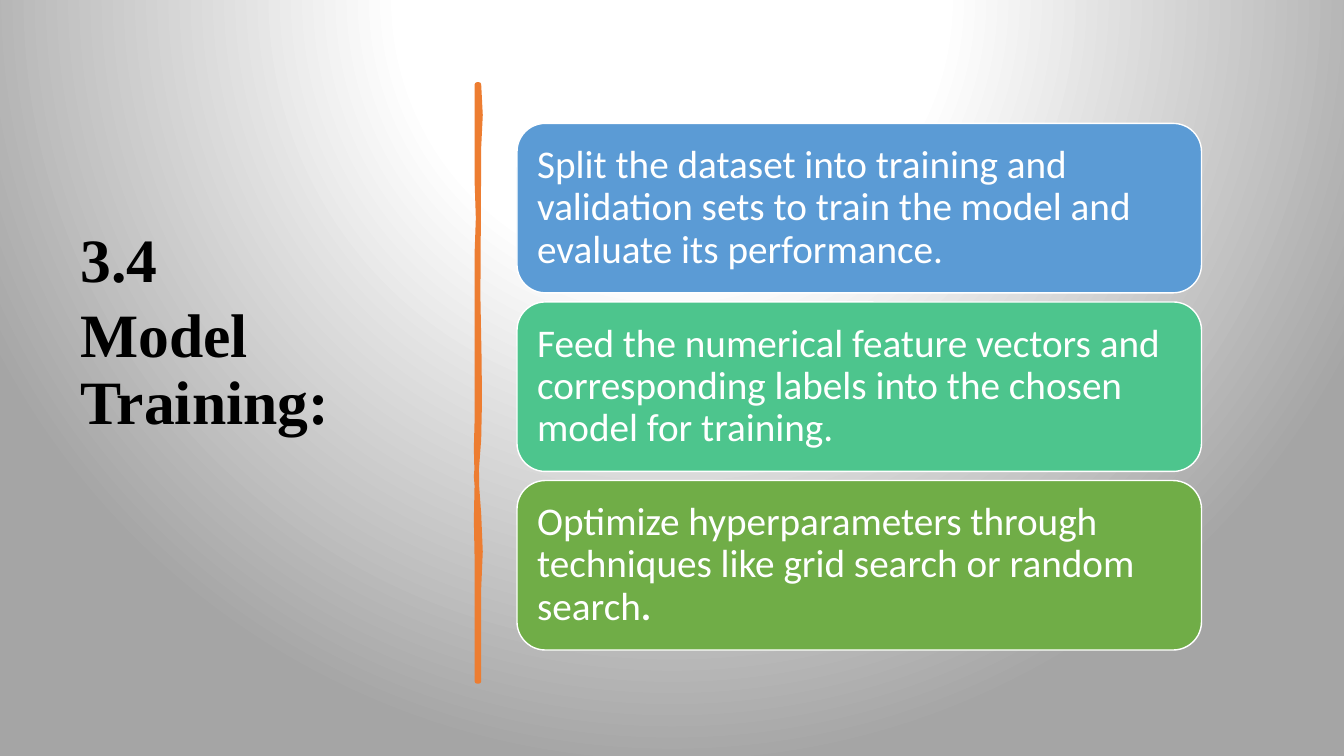
import dataclasses

import pptx
import pptx.dml.color
import pptx.enum.shapes
import pptx.enum.text
import pptx.oxml
import pptx.oxml.ns
import pptx.util

Cm = pptx.util.Cm
Pt = pptx.util.Pt


@dataclasses.dataclass(frozen=True)
class Theme:
    black: str = "000000"
    white: str = "FFFFFF"
    grey: str = "A5A5A5"
    orange: str = "ED7D31"
    cards: tuple = ("5B9BD5", "4DC58D", "70AD47")
    title_font: str = "Times New Roman"
    card_font: str = "Calibri"
    title_size: int = 44
    card_size: int = 28


theme = Theme()


def color(value):
    return pptx.dml.color.RGBColor.from_string(value)


def style(span, font, size, value, bold):
    span.font.name = font
    span.font.size = Pt(size)
    span.font.color.rgb = color(value)
    span.font.bold = bold


deck = pptx.Presentation()
deck.slide_width = Cm(33.87)
deck.slide_height = Cm(19.05)
page = deck.slides.add_slide(deck.slide_layouts[5])

page.background.fill.solid()
background = page.element.find(".//" + pptx.oxml.ns.qn("p:bgPr"))
stops = "".join(
    f'<a:gs pos="{position}"><a:srgbClr val="{value}"/></a:gs>'
    for position, value in ((0, theme.white), (35000, theme.white), (100000, theme.grey))
)
gradient = pptx.oxml.parse_xml(
    f'<a:gradFill {pptx.oxml.ns.nsdecls("a")} rotWithShape="1"><a:gsLst>{stops}</a:gsLst>'
    '<a:path path="circle"><a:fillToRect l="50000" t="-80000" r="50000" b="180000"/></a:path>'
    "</a:gradFill>"
)
background.replace(background[0], gradient)

title = page.shapes.title
title.left, title.top, title.width, title.height = Cm(1.77), Cm(1.78), Cm(9.5), Cm(13.25)
title.text_frame.text = "3.4\nModel Training:"
title.text_frame.word_wrap = True
title.text_frame.auto_size = pptx.enum.text.MSO_AUTO_SIZE.NONE
title.text_frame.vertical_anchor = pptx.enum.text.MSO_ANCHOR.MIDDLE
for para in title.text_frame.paragraphs:
    para.alignment = pptx.enum.text.PP_ALIGN.LEFT
    para.line_spacing = 0.9
    para.space_before = Pt(0)
    para.space_after = Pt(6)
    style(para.runs[0], theme.title_font, theme.title_size, theme.black, True)

outline = (
    (12.07, 2.13), (12.11, 2.9), (12.07, 3.71), (12.06, 5.74), (12.05, 7.47),
    (12.08, 9.04), (12.09, 10.1), (12.07, 11.07), (12, 12), (12.07, 12.95),
    (12.11, 13.9), (12.07, 14.83), (12.07, 17.17),
    (12.02, 17.17), (12.02, 14.15), (12, 13.1), (12.02, 12.12), (12, 11.3),
    (12.02, 10.54), (12.02, 6.35), (12.05, 5.5), (12.02, 4.6), (12.02, 2.13),
)
points = [(Cm(x), Cm(y)) for x, y in outline]
builder = page.shapes.build_freeform(*points[0])
builder.add_line_segments(points[1:], close=True)
divider = builder.convert_to_shape()
divider.shadow.inherit = False
divider.fill.solid()
divider.fill.fore_color.rgb = color(theme.orange)
divider.line.color.rgb = color(theme.orange)
divider.line.width = Pt(3.25)
divider.line._get_or_add_ln().append(
    pptx.oxml.parse_xml(f'<a:round {pptx.oxml.ns.nsdecls("a")}/>')
)

training_steps = (
    ("Split the dataset into training and validation sets to train the model "
     "and evaluate its performance.",),
    ("Feed the numerical feature vectors and corresponding labels into the chosen "
     "model for training.",),
    ("Optimize hyperparameters through techniques like grid search or random search", "."),
)
for index, (parts, fill) in enumerate(zip(training_steps, theme.cards)):
    box = page.shapes.add_shape(
        pptx.enum.shapes.MSO_SHAPE.ROUNDED_RECTANGLE,
        Cm(13.03), Cm(3.11 + index * 4.5), Cm(17.25), Cm(4.27),
    )
    box.shadow.inherit = False
    box.fill.solid()
    box.fill.fore_color.rgb = color(fill)
    box.line.color.rgb = color(theme.white)
    box.line.width = Pt(1)
    frame = box.text_frame
    frame.word_wrap = True
    frame.vertical_anchor = pptx.enum.text.MSO_ANCHOR.MIDDLE
    frame.margin_left = frame.margin_right = Cm(0.3)
    frame.margin_top = frame.margin_bottom = Cm(0.3)
    para = frame.paragraphs[0]
    para.alignment = pptx.enum.text.PP_ALIGN.LEFT
    para.line_spacing = 0.9
    for order, part in enumerate(parts):
        span = para.add_run()
        span.text = part
        style(span, theme.card_font, theme.card_size, theme.white, order > 0)

deck.save("out.pptx")
